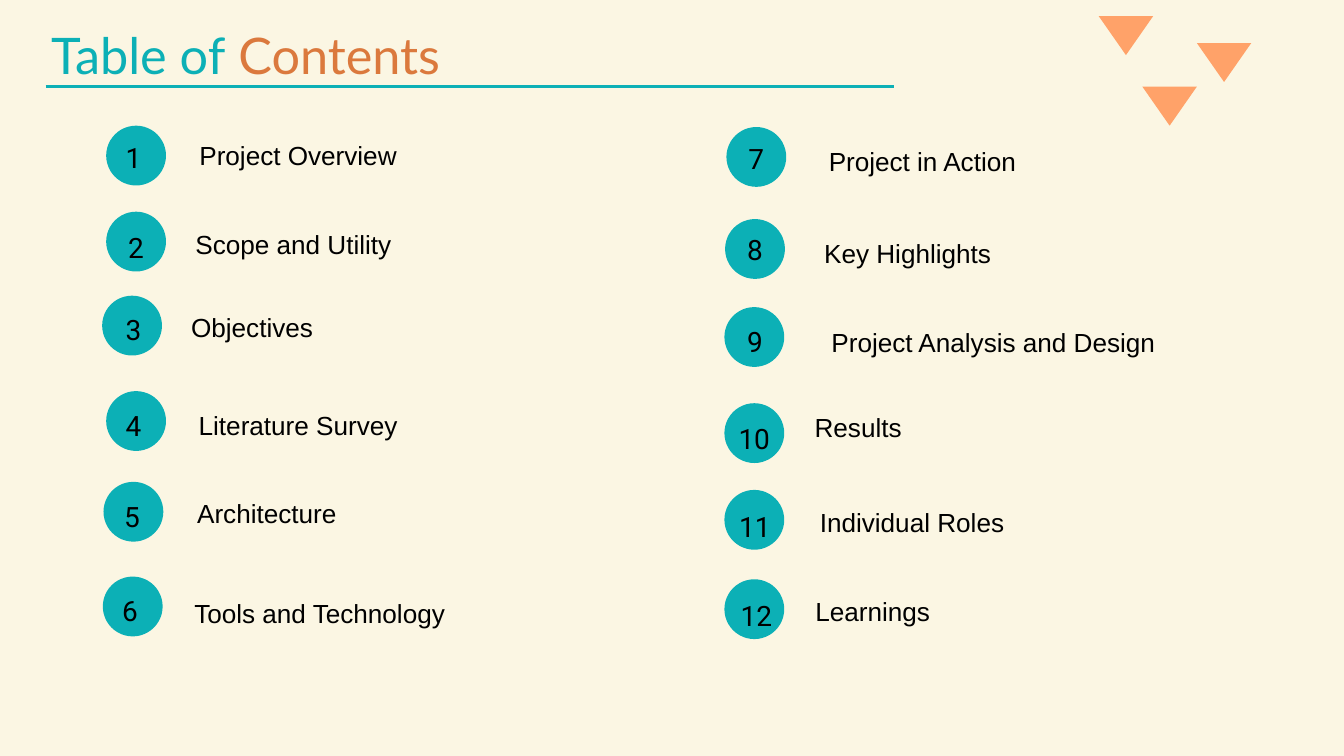
from typing import NamedTuple

from pptx import Presentation
from pptx.dml.color import RGBColor
from pptx.enum.shapes import MSO_CONNECTOR, MSO_SHAPE
from pptx.enum.text import PP_ALIGN
from pptx.oxml.ns import qn
from pptx.util import Inches, Pt

TEAL, ORANGE, PEACH = "0CB0B6", "DB793D", "FFA269"
CREAM, BLACK = "FBF6E3", "000000"
DISC = 0.89
NUMBER_WIDTH = 1.53


class Entry(NamedTuple):
    topic: str
    disc: tuple    # left, top within the column
    number: tuple  # left, top from the disc
    label: tuple   # left, top from the disc, then width
    spacing: float = 44.9


LEFT_ENTRIES = [
    Entry("Project Overview", (0.08, 0), (-0.36, 0.07), (0.35, 0.25, 5.01), 30.8),
    Entry("Scope and Utility", (0.08, 1.28), (-0.32, 0.13), (0.84, 0.09, 3.89)),
    Entry("Objectives", (0.02, 2.53), (-0.3, 0.09), (1.22, 0.07, 2.02)),
    Entry("Literature Survey", (0.08, 3.95), (-0.36, 0.11), (1.21, 0.11, 3.29)),
    Entry("Architecture", (0.04, 5.3), (-0.34, 0.11), (1.25, 0.08, 2.36)),
    Entry("Tools and Technology", (0.03, 6.71), (-0.36, 0.1), (1.09, 0.15, 4.27)),
]
RIGHT_ENTRIES = [
    Entry("Project in Action", (0.06, 0.02), (-0.32, 0.06), (0.64, 0.11, 4.55)),
    Entry("Key Highlights", (0.04, 1.39), (-0.32, 0.04), (0.72, 0.11, 3.99)),
    Entry("Project Analysis and Design", (0.03, 2.7), (-0.31, 0.11), (0.47, 0.13, 7.06)),
    Entry("Results", (0.03, 4.13), (-0.32, 0.12), (1.24, -0.03, 1.5)),
    Entry("Individual Roles", (0.03, 5.42), (-0.31, 0.14), (0.8, 0.09, 3.98)),
    Entry("Learnings", (0.03, 6.75), (-0.29, 0.13), (1.24, 0.08, 1.93)),
]


def color(hex_code):
    return RGBColor.from_string(hex_code)


def add_text(slide, left, top, width, parts, font, size, spacing, align):
    """Add one line of text; parts are (text, colour) pairs."""
    box = slide.shapes.add_textbox(
        Inches(left), Inches(top), Inches(width), Pt(spacing))
    frame = box.text_frame
    frame.word_wrap = True
    frame.margin_left = frame.margin_right = 0
    frame.margin_top = frame.margin_bottom = 0
    line = frame.paragraphs[0]
    line.alignment = align
    line.line_spacing = Pt(spacing)
    for text, hex_code in parts:
        run = line.add_run()
        run.text = text
        run.font.name = font
        run.font.size = Pt(size)
        run.font.color.rgb = color(hex_code)


def add_solid(slide, preset, left, top, width, height, fill):
    solid = slide.shapes.add_shape(
        preset, Inches(left), Inches(top), Inches(width), Inches(height))
    solid.shadow.inherit = False
    solid.fill.solid()
    solid.fill.fore_color.rgb = color(fill)
    solid.line.fill.background()
    return solid


def add_triangles(slide, left, top):
    for x, y in [(1.46, 0.4), (0, 0), (0.65, 1.05)]:
        triangle = add_solid(slide, MSO_SHAPE.ISOSCELES_TRIANGLE,
                             left + x, top + y, 0.81, 0.58, PEACH)
        triangle.rotation = 180


def add_title(slide, left, top, width):
    add_text(slide, left + 0.08, top, width, [("Table of", TEAL), (" Contents", ORANGE)],
             "Lato", 54, 75.6, PP_ALIGN.LEFT)
    rule_top = Inches(top + 1.08)
    rule = slide.shapes.add_connector(
        MSO_CONNECTOR.STRAIGHT, Inches(left), rule_top, Inches(left + width), rule_top)
    rule.line.color.rgb = color(TEAL)
    rule.line.width = Pt(3.75)
    properties = rule._element.spPr
    properties.append(properties.makeelement(qn("a:effectLst"), {}))


def add_column(slide, left, top, entries, first_number):
    for number, entry in enumerate(entries, first_number):
        x, y = left + entry.disc[0], top + entry.disc[1]
        add_solid(slide, MSO_SHAPE.OVAL, x, y, DISC, DISC, TEAL)
        number_x, number_y = entry.number
        add_text(slide, x + number_x, y + number_y, NUMBER_WIDTH,
                 [(str(number), BLACK)], "Roboto", 30, 47.1, PP_ALIGN.CENTER)
        label_x, label_y, label_width = entry.label
        add_text(slide, x + label_x, y + label_y, label_width,
                 [(entry.topic, BLACK)], "Arial", 28, entry.spacing, PP_ALIGN.CENTER)


def main():
    deck = Presentation()
    deck.slide_width, deck.slide_height = Inches(20), Inches(11.25)
    slide = deck.slides.add_slide(deck.slide_layouts[6])
    slide.background.fill.solid()
    slide.background.fill.fore_color.rgb = color(CREAM)

    add_triangles(slide, 16.35, 0.24)
    add_title(slide, 0.68, 0.21, 12.62)
    add_column(slide, 1.5, 1.87, LEFT_ENTRIES, 1)
    add_column(slide, 10.75, 1.87, RIGHT_ENTRIES, len(LEFT_ENTRIES) + 1)
    deck.save("out.pptx")


if __name__ == "__main__":
    main()
